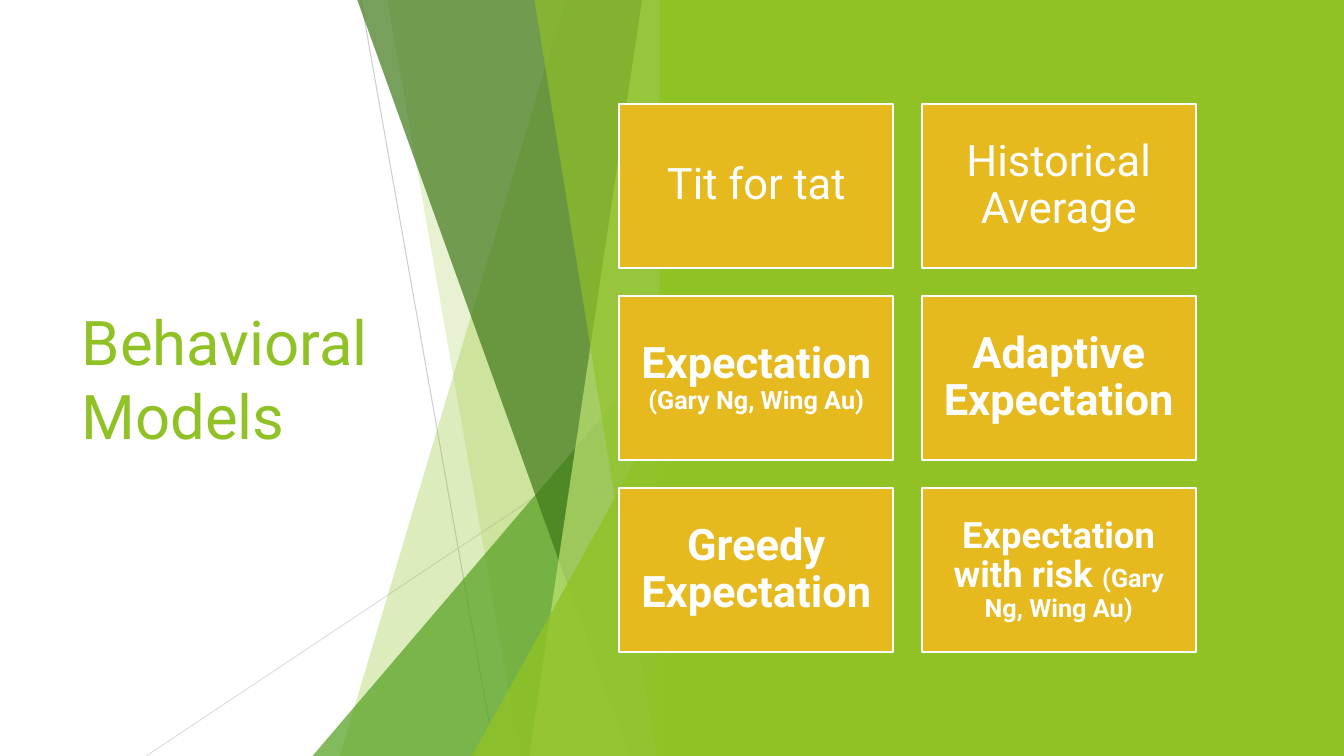
from dataclasses import dataclass

from lxml import etree
from pptx import Presentation
from pptx.dml.color import RGBColor
from pptx.enum.shapes import MSO_CONNECTOR, MSO_SHAPE
from pptx.enum.text import MSO_ANCHOR, MSO_AUTO_SIZE, PP_ALIGN
from pptx.oxml.ns import qn
from pptx.util import Inches, Pt

RECTANGLE = MSO_SHAPE.RECTANGLE
TRIANGLE = MSO_SHAPE.ISOSCELES_TRIANGLE
STRAIGHT = MSO_CONNECTOR.STRAIGHT
MIDDLE = MSO_ANCHOR.MIDDLE
NO_AUTOFIT = MSO_AUTO_SIZE.NONE
LEFT, CENTER = PP_ALIGN.LEFT, PP_ALIGN.CENTER


@dataclass(frozen=True)
class Theme:
    font: str = "Roboto"
    white: str = "FFFFFF"
    green: str = "90C226"
    leaf: str = "54A021"
    forest: str = "3F7819"
    lime: str = "C0E474"
    gold: str = "E6B91E"
    grey: str = "BFBFBF"
    light_grey: str = "D9D9D9"
    title_size: int = 44
    model_size: int = 31
    long_model_size: int = 26
    author_size: int = 18


theme = Theme()


def paint(color_format, color, opacity=100):
    color_format.fore_color.rgb = RGBColor.from_string(color)
    if opacity < 100:
        color_element = color_format._xPr.find(".//" + qn("a:srgbClr"))
        etree.SubElement(color_element, qn("a:alpha"), val=str(opacity * 1000))


def style_run(run, size, color, bold=False):
    run.font.name = theme.font
    run.font.size = Pt(size)
    run.font.bold = bold
    run.font.color.rgb = RGBColor.from_string(color)


presentation = Presentation()
presentation.slide_width = Inches(13.33)
presentation.slide_height = Inches(7.5)
slide = presentation.slides.add_slide(presentation.slide_layouts[5])
slide.background.fill.solid()
paint(slide.background.fill, theme.white)

hairlines = [
    (3.58, 0, 4.91, 7.5, theme.grey, 75),
    (6.66, 4.03, 1.45, 7.5, theme.light_grey, 80),
]
for start_x, start_y, end_x, end_y, color, opacity in hairlines:
    hairline = slide.shapes.add_connector(
        STRAIGHT, Inches(start_x), Inches(start_y), Inches(end_x), Inches(end_y)
    )
    hairline.line.width = Pt(0.75)
    hairline.line.fill.solid()
    paint(hairline.line.fill, color, opacity)
    etree.SubElement(hairline.element.spPr, qn("a:effectLst"))

facet_top, facet_right, facet_bottom = -0.01, 6.66, 7.5
facets = [
    ("band", 5.61, 3.37, theme.green, 30),
    ("band", 3.84, 5.16, theme.green, 20),
    ("triangle", 3.33, 3.1, theme.leaf, 72),
    ("band", 3.54, 6.24, theme.forest, 70),
    ("band", 6.37, 5.25, theme.lime, 70),
    ("band", 5.3, 6.51, theme.green, 65),
    ("triangle", 3.93, 4.68, theme.green, 80),
]
for kind, upper, lower_left, color, opacity in facets:
    if kind == "band":
        builder = slide.shapes.build_freeform(Inches(upper), Inches(facet_top))
        corners = [
            (facet_right, facet_top),
            (facet_right, facet_bottom),
            (lower_left, facet_bottom),
        ]
        builder.add_line_segments([(Inches(x), Inches(y)) for x, y in corners])
        facet = builder.convert_to_shape()
    else:
        facet = slide.shapes.add_shape(
            TRIANGLE, Inches(lower_left), Inches(upper),
            Inches(facet_right - lower_left), Inches(facet_bottom - upper),
        )
        facet.adjustments[0] = 1
    facet.shadow.inherit = False
    facet.line.fill.background()
    facet.fill.solid()
    paint(facet.fill, color, opacity)

panel = slide.shapes.add_shape(
    RECTANGLE, Inches(6.54), 0, Inches(6.79), Inches(7.5)
)
panel.shadow.inherit = False
panel.line.fill.background()
panel.fill.solid()
paint(panel.fill, theme.green)

title = slide.shapes.title
panel.element.addnext(title.element)
title.left, title.top = Inches(0.71), Inches(1.51)
title.width, title.height = Inches(3.88), Inches(4.48)
title_frame = title.text_frame
title_frame.text = "Behavioral\vModels"
title_frame.auto_size = NO_AUTOFIT
title_frame.word_wrap = True
title_frame.vertical_anchor = MIDDLE
title_frame.paragraphs[0].alignment = LEFT
for run in title_frame.paragraphs[0].runs:
    style_run(run, theme.title_size, theme.green)

authors = "(Gary Ng, Wing Au)"
models = [
    ("Tit for tat", "", theme.model_size, False),
    ("Historical Average", "", theme.model_size, False),
    ("Expectation ", authors, theme.model_size, True),
    ("Adaptive Expectation", "", theme.model_size, True),
    ("Greedy Expectation", "", theme.model_size, True),
    ("Expectation with risk ", authors, theme.long_model_size, True),
]
columns = 2
grid_left, grid_top = 6.14, 1.03
card_width, card_height = 2.72, 1.63
column_step, row_step = 3, 1.905
for index, (name, credit, size, bold) in enumerate(models):
    row, column = divmod(index, columns)
    card = slide.shapes.add_shape(
        RECTANGLE,
        Inches(grid_left + column * column_step),
        Inches(grid_top + row * row_step),
        Inches(card_width), Inches(card_height),
    )
    card.shadow.inherit = False
    card.fill.solid()
    paint(card.fill, theme.gold)
    card.line.width = Pt(1.5)
    card.line.fill.solid()
    paint(card.line.fill, theme.white)
    frame = card.text_frame
    frame.word_wrap = True
    frame.vertical_anchor = MIDDLE
    inset = Inches(0.13 if size == theme.model_size else 0.11)
    frame.margin_left = frame.margin_right = inset
    frame.margin_top = frame.margin_bottom = inset
    paragraph = frame.paragraphs[0]
    paragraph.text = name
    paragraph.alignment = CENTER
    paragraph.line_spacing = 0.9
    style_run(paragraph.runs[0], size, theme.white, bold)
    if credit:
        credit_run = paragraph.add_run()
        credit_run.text = credit
        style_run(credit_run, theme.author_size, theme.white, bold)

presentation.save("out.pptx")
